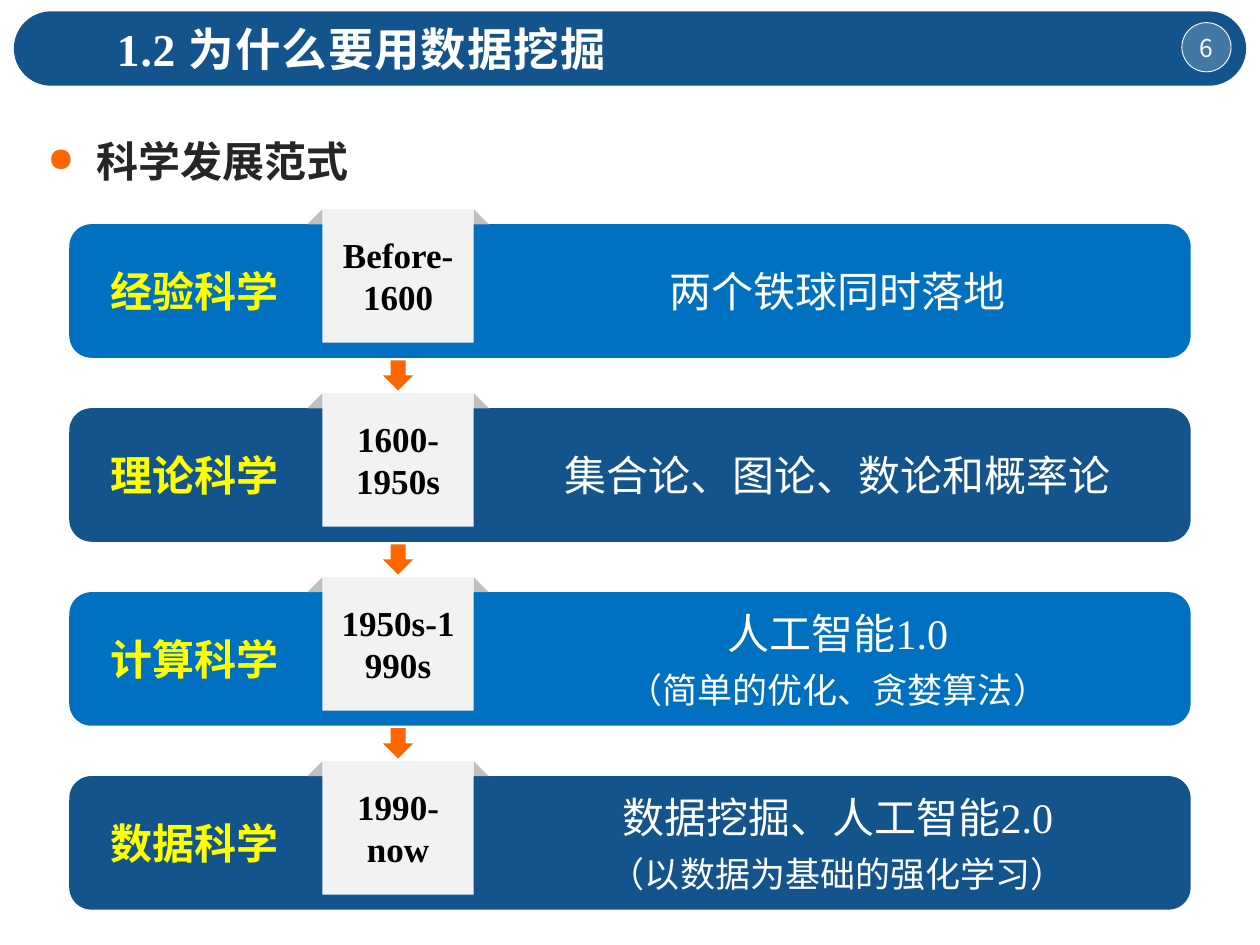
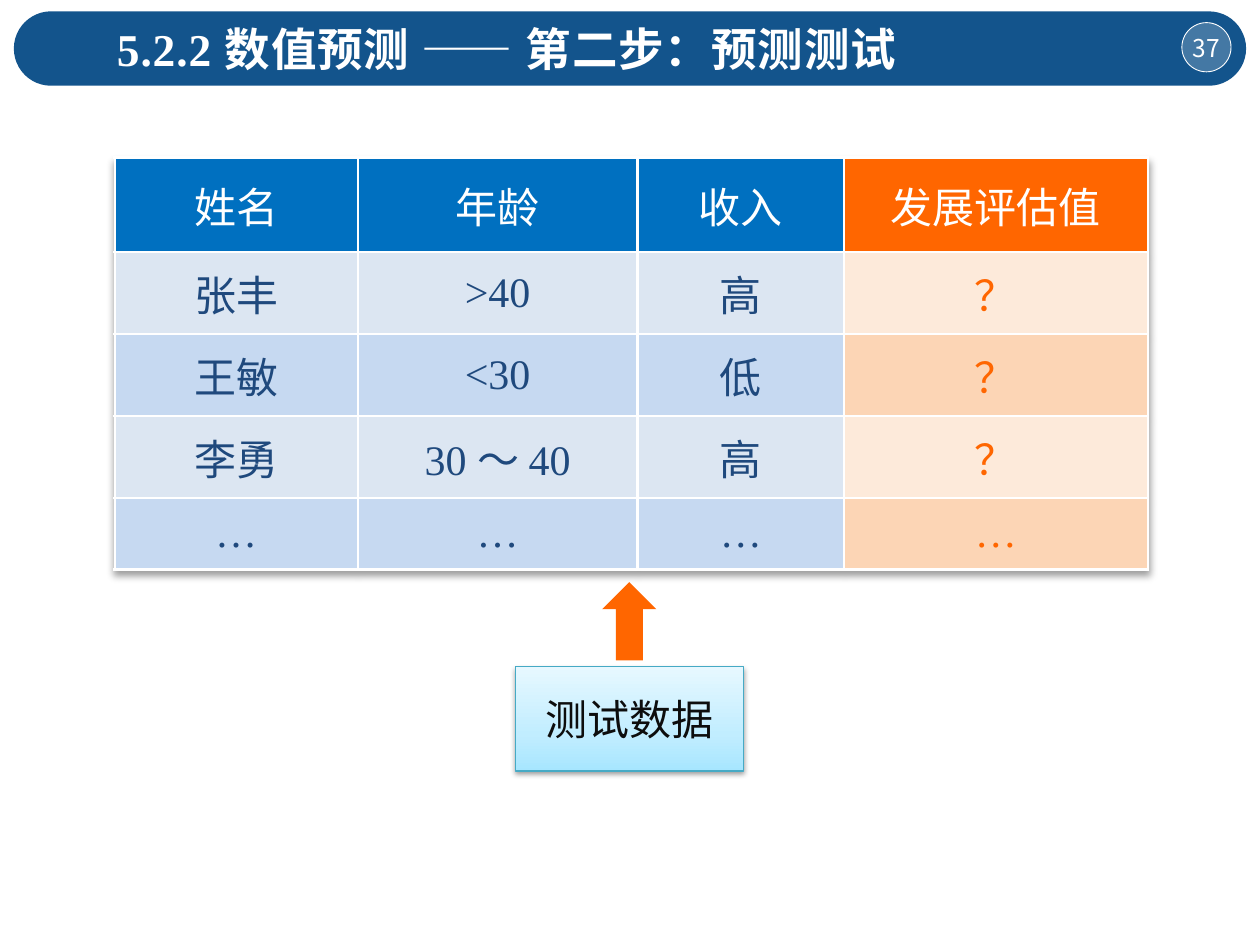
from lxml import etree
from pptx import Presentation
from pptx.dml.color import RGBColor
from pptx.enum.shapes import MSO_SHAPE
from pptx.enum.text import MSO_ANCHOR, PP_ALIGN
from pptx.oxml import parse_xml
from pptx.oxml.ns import nsdecls, qn
from pptx.util import Inches, Pt

RECT, ROUNDED, OVAL = MSO_SHAPE.RECTANGLE, MSO_SHAPE.ROUNDED_RECTANGLE, MSO_SHAPE.OVAL
DOWN, UP = MSO_SHAPE.DOWN_ARROW, MSO_SHAPE.UP_ARROW
TOP, MIDDLE = MSO_ANCHOR.TOP, MSO_ANCHOR.MIDDLE
LEFT, CENTER, JUSTIFY = PP_ALIGN.LEFT, PP_ALIGN.CENTER, PP_ALIGN.JUSTIFY

LATIN, CJK = "Times New Roman", "Noto Sans CJK SC"
NAVY, BLUE, ORANGE, WHITE = "13548C", "0070C0", "FF6600", "FFFFFF"
YELLOW, BLACK, PAPER, FOLD = "FFFF00", "000000", "F2F2F2", "BFBFBF"
INK = "1F497D"
SHADOW = (
    '<a:outerShdw {} blurRad="{}" dist="{}" dir="5400000" rotWithShape="0">'
    '<a:srgbClr val="000000"><a:alpha val="38000"/></a:srgbClr></a:outerShdw>'
)


def add_flat(shapes, kind, x, y, w, h, fill):
    """Add a preset shape with a plain fill, no line and no shadow."""
    sp = shapes.add_shape(kind, Inches(x), Inches(y), Inches(w), Inches(h))
    sp.shadow.inherit = False
    sp.fill.solid()
    sp.fill.fore_color.rgb = RGBColor.from_string(fill)
    sp.line.fill.background()
    return sp


def write(tf, lines, sizes, color, bold=False, align=CENTER, anchor=MIDDLE,
          wrap=False, font=LATIN, spacing=0):
    """Fill a text frame, one paragraph for each line and its size."""
    tf.text = "\n".join(lines)
    tf.word_wrap = wrap
    tf.vertical_anchor = anchor
    for i, (p, size) in enumerate(zip(tf.paragraphs, sizes)):
        p.alignment = align
        if i:
            p.space_before = Pt(6)
        for r in p.runs:
            r.font.size = Pt(size)
            r.font.bold = bold
            r.font.name = font
            r.font.color.rgb = RGBColor.from_string(color)
            rPr = r.font._element
            etree.SubElement(rPr, qn("a:ea")).set("typeface", CJK)
            if spacing:
                rPr.set("spc", str(spacing))


prs = Presentation()
prs.slide_width, prs.slide_height = Inches(10), Inches(7.5)

# Title band and page number on every slide
slides = []
for title, title_width, number in [
    ("1.2 为什么要用数据挖掘", 4.33, "6"),
    ("5.2.2 数值预测 —— 第二步：预测测试", 6.73, "37"),
]:
    s = prs.slides.add_slide(prs.slide_layouts[6])
    slides.append(s)
    band = add_flat(s.shapes, ROUNDED, 0.11, 0.09, 9.78, 0.59, NAVY)
    band.adjustments[0] = 0.5

    badge = add_flat(s.shapes, OVAL, 9.38, 0.18, 0.39, 0.39, WHITE)
    white = badge._element.spPr.find(".//" + qn("a:srgbClr"))
    etree.SubElement(white, qn("a:alpha")).set("val", "21000")
    badge.line.color.rgb = RGBColor.from_string(WHITE)
    badge.line.width = Pt(0.5)
    tf = badge.text_frame
    tf.margin_left = tf.margin_right = tf.margin_top = tf.margin_bottom = 0
    write(tf, [number], [14], WHITE, font=CJK)

    box = s.shapes.add_textbox(Inches(0.83), Inches(0.12), Inches(title_width), Inches(0.54))
    write(box.text_frame, [title], [26], WHITE, bold=True, align=LEFT, anchor=TOP,
          wrap=True, spacing=50)

paradigms, prediction = slides

# Paradigms of science: heading
box = paradigms.shapes.add_textbox(Inches(0.28), Inches(0.83), Inches(9), Inches(0.64))
write(box.text_frame, ["科学发展范式"], [24], "262626", bold=True, align=JUSTIFY,
      anchor=TOP, wrap=True)
p = box.text_frame.paragraphs[0]
pPr = p._p.get_or_add_pPr()
pPr.set("marL", str(Inches(0.39)))
pPr.set("indent", str(-Inches(0.39)))
bullet_color = etree.SubElement(pPr, qn("a:buClr"))
etree.SubElement(bullet_color, qn("a:srgbClr")).set("val", ORANGE)
etree.SubElement(pPr, qn("a:buSzPct")).set("val", "80000")
etree.SubElement(pPr, qn("a:buChar")).set("char", "●")
p.line_spacing = 1.5

# Paradigms of science: one bar per era, with a folded date card
eras = [
    ("经验科学", "Before-1600", ["两个铁球同时落地"], 2.89),
    ("理论科学", "1600-1950s", ["集合论、图论、数论和概率论"], 4.58),
    ("计算科学", "1950s-1990s", ["人工智能1.0", "（简单的优化、贪婪算法）"], 3.57),
    ("数据科学", "1990-now", ["数据挖掘、人工智能2.0", "（以数据为基础的强化学习）"], 3.85),
]
BAR_TOP, BAR_STEP, BAR_H = 1.78, 1.46, 1.06
CARD_X, CARD_W, FOLD_SIZE = 2.56, 1.2, 0.12
CAPTION_MIDDLE = 6.65

for i, (name, years, caption, caption_w) in enumerate(eras):
    y = BAR_TOP + i * BAR_STEP
    card_y = y - FOLD_SIZE
    group = paradigms.shapes.add_group_shape().shapes
    add_flat(group, ROUNDED, 0.55, y, 8.9, BAR_H, NAVY if i % 2 else BLUE)

    for edge, tip in [(CARD_X, CARD_X - FOLD_SIZE),
                      (CARD_X + CARD_W, CARD_X + CARD_W + FOLD_SIZE)]:
        outline = group.build_freeform(Inches(edge), Inches(card_y))
        outline.add_line_segments([(Inches(tip), Inches(y)), (Inches(edge), Inches(y))])
        fold = outline.convert_to_shape()
        fold.shadow.inherit = False
        fold.fill.solid()
        fold.fill.fore_color.rgb = RGBColor.from_string(FOLD)
        fold.line.fill.background()

    card = add_flat(group, RECT, CARD_X, card_y, CARD_W, BAR_H, PAPER)
    write(card.text_frame, [years], [20], BLACK, bold=True, wrap=True)

    box = group.add_textbox(Inches(0.77), Inches(y + 0.28), Inches(1.55), Inches(0.5))
    write(box.text_frame, [name], [24], YELLOW, bold=True)

    caption_h = 0.5 if len(caption) == 1 else 0.93
    box = group.add_textbox(Inches(CAPTION_MIDDLE - caption_w / 2),
                            Inches(y + (BAR_H - caption_h) / 2),
                            Inches(caption_w), Inches(caption_h))
    write(box.text_frame, caption, [24, 20], WHITE)

for i in range(len(eras) - 1):
    add_flat(paradigms.shapes, DOWN, 3.04, 2.86 + i * BAR_STEP, 0.24, 0.24, ORANGE)

# Prediction test: table of people to be rated
rows = [
    ["姓名", "年龄", "收入", "发展评估值"],
    ["张丰", ">40", "高", "？"],
    ["王敏", "<30", "低", "？"],
    ["李勇", "30 ～ 40", "高", "？"],
    ["…", "…", "…", "…"],
]
col_widths = [1.93, 2.22, 1.64, 2.41]
row_heights = [0.75, 0.65, 0.65, 0.65, 0.57]
# Fills of the known columns and of the rated column
HEADER_FILLS = (BLUE, ORANGE)
BODY_FILLS = [("C6D9F1", "FCD5B5"), ("DCE6F2", "FDEADA")]

table = prediction.shapes.add_table(len(rows), len(col_widths), Inches(0.91), Inches(1.25),
                                    Inches(sum(col_widths)), Inches(sum(row_heights))).table
effects = etree.Element(qn("a:effectLst"))
effects.append(parse_xml(SHADOW.format(nsdecls("a"), 50800, 38100)))
table._tbl.tblPr.insert(0, effects)
for column, width in zip(table.columns, col_widths):
    column.width = Inches(width)
for i, values in enumerate(rows):
    table.rows[i].height = Inches(row_heights[i])
    for j, value in enumerate(values):
        rated = j == len(values) - 1
        cell = table.cell(i, j)
        tcPr = cell._tc.get_or_add_tcPr()
        for side in ("lnL", "lnR", "lnT", "lnB"):
            border = etree.SubElement(tcPr, qn("a:" + side), w=str(Pt(1.5)))
            solid = etree.SubElement(border, qn("a:solidFill"))
            etree.SubElement(solid, qn("a:srgbClr")).set("val", WHITE)
        cell.fill.solid()
        fills = BODY_FILLS[i % 2] if i else HEADER_FILLS
        cell.fill.fore_color.rgb = RGBColor.from_string(fills[rated])
        color = WHITE if i == 0 else ORANGE if rated else INK
        write(cell.text_frame, [value], [24], color, wrap=True)
        cell.vertical_anchor = MIDDLE

# Prediction test: source of the rows
data = add_flat(prediction.shapes, RECT, 4.09, 5.29, 1.81, 0.83, WHITE)
spPr = data._element.spPr
stops = "".join(
    f'<a:gs pos="{pos}000"><a:srgbClr val="{color}"/></a:gs>'
    for pos, color in [(0, "A7E6FF"), (35, "C1EDFF"), (100, "E7F8FF")]
)
spPr.replace(spPr.find(qn("a:solidFill")), parse_xml(
    f'<a:gradFill {nsdecls("a")} rotWithShape="1"><a:gsLst>{stops}</a:gsLst>'
    '<a:lin ang="16200000" scaled="0"/></a:gradFill>'))
spPr.find(qn("a:effectLst")).append(parse_xml(SHADOW.format(nsdecls("a"), 40000, 20000)))
data.line.color.rgb = RGBColor.from_string("46AAC5")
data.line.width = Pt(0.75)
write(data.text_frame, ["测试数据"], [24], "0D0D0D")
add_flat(prediction.shapes, UP, 4.78, 4.62, 0.43, 0.62, ORANGE)

prs.save("out.pptx")
